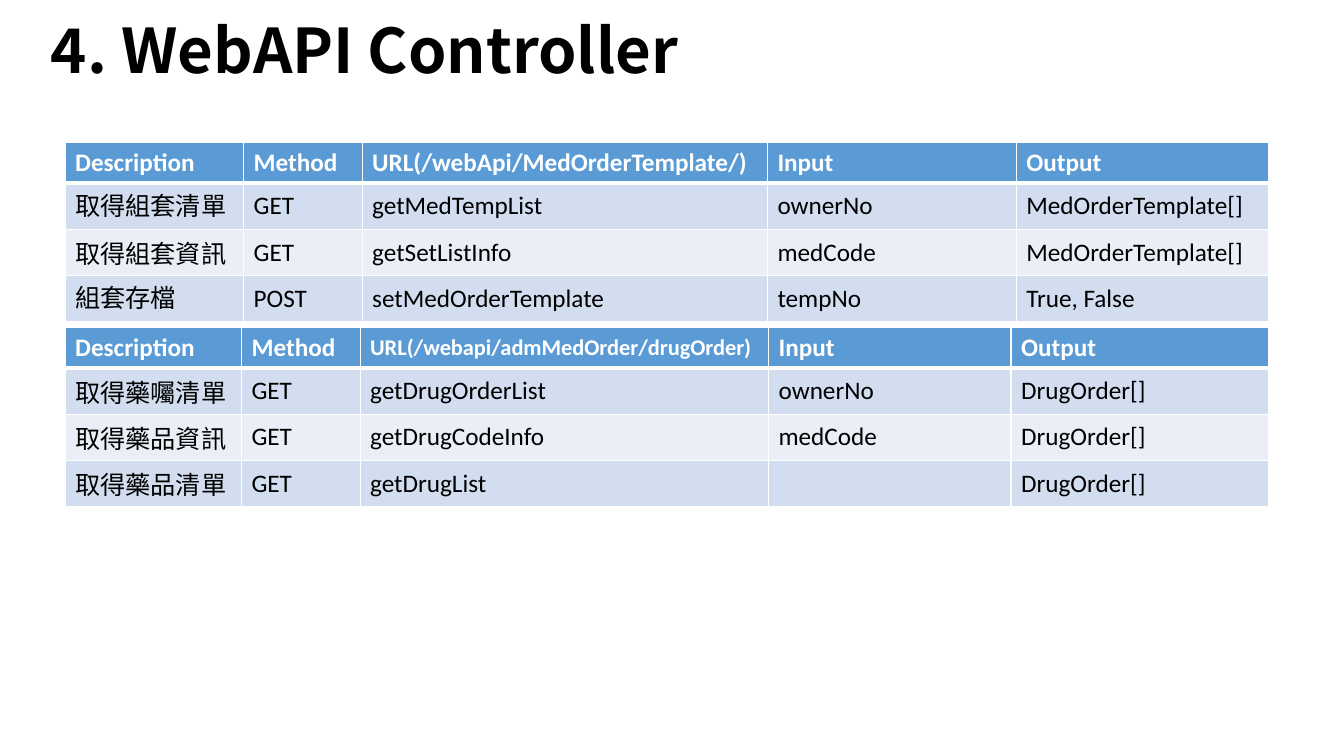
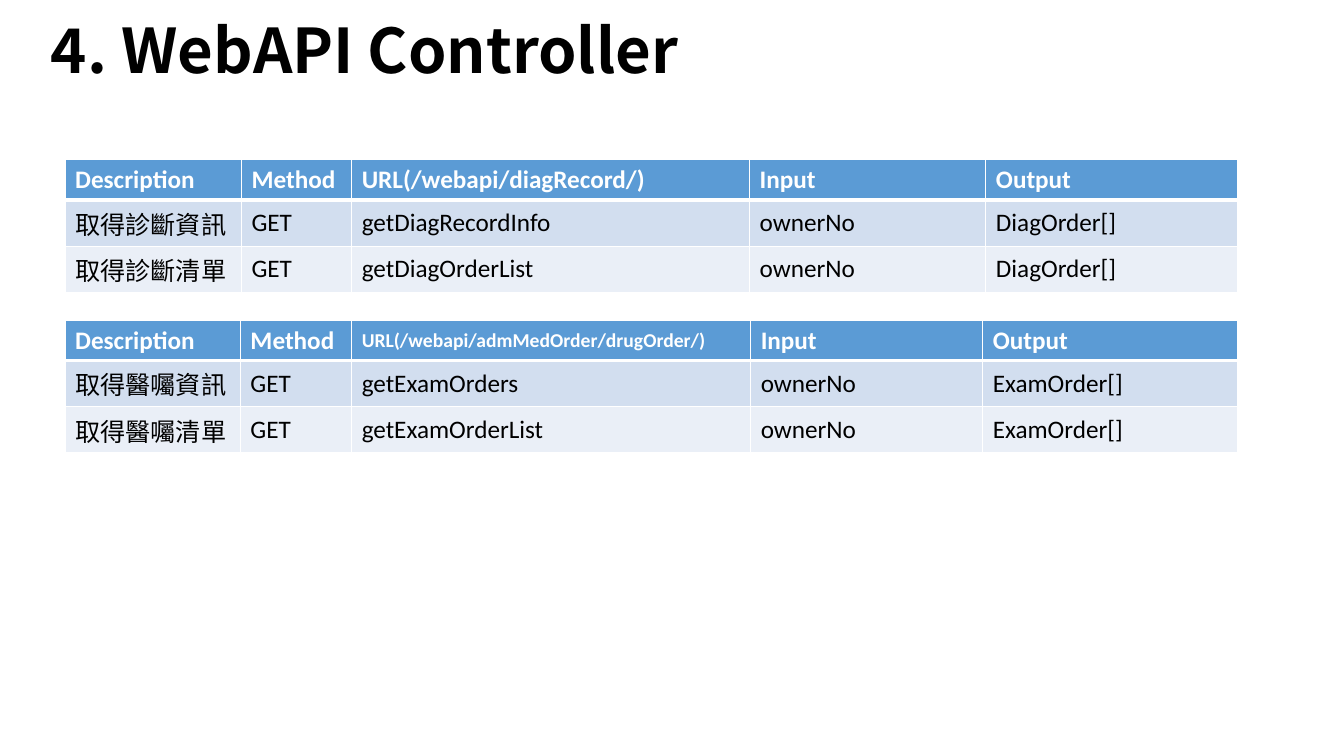
from dataclasses import dataclass

from lxml.etree import SubElement
from pptx import Presentation
from pptx.dml.color import RGBColor
from pptx.enum.text import MSO_ANCHOR
from pptx.oxml.ns import qn
from pptx.util import Pt

PX = 9525  # EMU in one px, at 96 px to the inch


@dataclass(frozen=True)
class Theme:
    head: str = "5B9BD5"
    bands: tuple[str, str] = ("D2DEEF", "EAEFF7")
    light: str = "FFFFFF"
    dark: str = "000000"
    latin: str = "Calibri"
    cjk: str = "Noto Sans CJK SC"
    fallback: str = "Arial"
    title_size: int = 44
    body_size: int = 18
    thin: int = 1
    thick: int = 3


THEME = Theme()


@dataclass(frozen=True)
class Run:
    text: str
    font: str = THEME.latin
    size: int = THEME.body_size


@dataclass(frozen=True)
class Endpoint:
    description: tuple[Run, ...]
    method: str
    url: str
    input: str
    output: str

    def cells(self) -> list[tuple[Run, ...]]:
        texts = (self.method, self.url, self.input, self.output)
        return [self.description, *((Run(t),) if t else () for t in texts)]


@dataclass(frozen=True)
class ApiTable:
    top: int
    widths: tuple[int, ...]
    base_url: str
    endpoints: tuple[Endpoint, ...]
    url_size: int = THEME.body_size

    def header(self) -> list[tuple[Run, ...]]:
        url = Run(f"URL({self.base_url})", size=self.url_size)
        return [(Run("Description"),), (Run("Method"),), (url,), (Run("Input"),), (Run("Output"),)]


TITLE = "4. WebAPI Controller"
TITLE_BOX = (39, -10, 893, 123)
TABLE_LEFT = 62
HEAD_HEIGHT, ROW_HEIGHT = 38, 44


def cjk(text: str) -> tuple[Run, ...]:
    return (Run(text, THEME.cjk),)


def fallback(text: str) -> tuple[Run, ...]:
    return (Run(text, THEME.fallback),)


SLIDES: tuple[tuple[ApiTable, ...], ...] = (
    (
        ApiTable(136, (170, 113, 386, 237, 240), "/webApi/MedOrderTemplate/", (
            Endpoint(fallback("取得組套清單"), "GET", "getMedTempList", "ownerNo", "MedOrderTemplate[]"),
            Endpoint(cjk("取得") + fallback("組套") + cjk("資訊"),
                     "GET", "getSetListInfo", "medCode", "MedOrderTemplate[]"),
            Endpoint(fallback("組套存檔"), "POST", "setMedOrderTemplate", "tempNo", "True, False"),
        )),
        ApiTable(312, (168, 113, 389, 231, 245), "/webapi/admMedOrder/drugOrder", (
            Endpoint(cjk("取得藥囑清單"), "GET", "getDrugOrderList", "ownerNo", "DrugOrder[]"),
            Endpoint(cjk("取得藥品資訊"), "GET", "getDrugCodeInfo", "medCode", "DrugOrder[]"),
            Endpoint(cjk("取得藥品清單"), "GET", "getDrugList", "", "DrugOrder[]"),
        ), url_size=16),
    ),
    (
        ApiTable(152, (168, 105, 379, 225, 240), "/webapi/diagRecord/", (
            Endpoint(cjk("取得診斷資訊"), "GET", "getDiagRecordInfo", "ownerNo", "DiagOrder[]"),
            Endpoint(cjk("取得診斷清單"), "GET", "getDiagOrderList", "ownerNo", "DiagOrder[]"),
        )),
        ApiTable(305, (167, 106, 380, 221, 243), "/webapi/admMedOrder/drugOrder/", (
            Endpoint(cjk("取得醫囑資訊"), "GET", "getExamOrders", "ownerNo", "ExamOrder[]"),
            Endpoint(cjk("取得醫囑清單"), "GET", "getExamOrderList", "ownerNo", "ExamOrder[]"),
        ), url_size=14),
    ),
)


def add_run(p, run: Run, color: str, bold: bool) -> None:
    r = p.add_run()
    r.text = run.text
    for name, value in {"name": run.font, "size": Pt(run.size), "bold": bold}.items():
        setattr(r.font, name, value)
    r.font.color.rgb = RGBColor.from_string(color)
    SubElement(r.font._element, qn("a:ea"), typeface=run.font)


def add_title(s) -> None:
    tf = s.shapes.add_textbox(*(v * PX for v in TITLE_BOX)).text_frame
    for name, value in {"word_wrap": True, "vertical_anchor": MSO_ANCHOR.MIDDLE}.items():
        setattr(tf, name, value)
    p = tf.paragraphs[0]
    p.line_spacing = 0.9
    add_run(p, Run(TITLE, THEME.cjk, THEME.title_size), THEME.dark, True)


def add_borders(cell, top: int, bottom: int) -> None:
    """Draw the light rules of a cell; the widths are in points."""
    tc_pr = cell._tc.get_or_add_tcPr()
    for side, width in {"L": THEME.thin, "R": THEME.thin, "T": top, "B": bottom}.items():
        ln = SubElement(tc_pr, qn(f"a:ln{side}"), w=str(Pt(width)))
        SubElement(SubElement(ln, qn("a:solidFill")), qn("a:srgbClr"), val=THEME.light)


def add_api_table(s, api: ApiTable) -> None:
    rows = [api.header(), *(e.cells() for e in api.endpoints)]
    heights = [HEAD_HEIGHT] + [ROW_HEIGHT] * len(api.endpoints)
    box = (TABLE_LEFT, api.top, sum(api.widths), sum(heights))
    table = s.shapes.add_table(len(rows), len(api.widths), *(v * PX for v in box)).table
    for column, width in zip(table.columns, api.widths):
        column.width = width * PX
    for i, (row, height) in enumerate(zip(rows, heights)):
        table.rows[i].height = height * PX
        is_head = i == 0
        fill = THEME.head if is_head else THEME.bands[(i - 1) % 2]
        for j, runs in enumerate(row):
            cell = table.cell(i, j)
            cell.vertical_anchor = MSO_ANCHOR.MIDDLE
            add_borders(cell, THEME.thick if i == 1 else THEME.thin,
                        THEME.thick if is_head else THEME.thin)
            cell.fill.solid()
            cell.fill.fore_color.rgb = RGBColor.from_string(fill)
            for run in runs:
                add_run(cell.text_frame.paragraphs[0], run,
                        THEME.light if is_head else THEME.dark, is_head)


def main() -> None:
    prs = Presentation()
    prs.slide_width, prs.slide_height = 1280 * PX, 720 * PX
    for tables in SLIDES:
        s = prs.slides.add_slide(prs.slide_layouts[6])
        add_title(s)
        for api in tables:
            add_api_table(s, api)
    prs.save("out.pptx")


if __name__ == "__main__":
    main()
